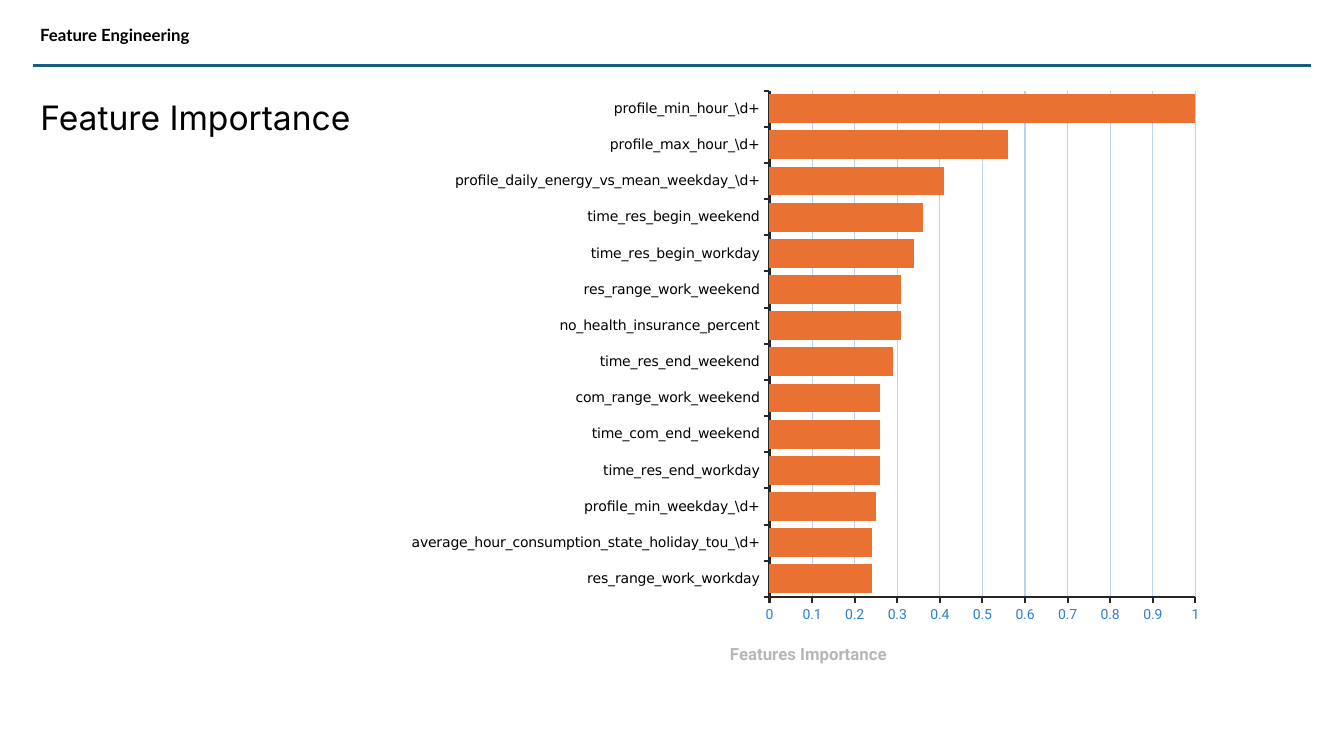
from lxml.etree import SubElement
from pptx import Presentation
from pptx.chart.data import CategoryChartData
from pptx.dml.color import RGBColor
from pptx.enum.chart import XL_CHART_TYPE as ChartType, XL_TICK_MARK as TickMark
from pptx.enum.shapes import MSO_CONNECTOR as Connector
from pptx.enum.text import MSO_ANCHOR as Anchor, PP_ALIGN as Align
from pptx.oxml.ns import qn
from pptx.util import Inches, Pt

BLACK = RGBColor(0x00, 0x00, 0x00)
TEAL = RGBColor(0x15, 0x60, 0x82)
ORANGE = RGBColor(0xE9, 0x71, 0x32)
BLUE = RGBColor(0x2D, 0x7F, 0xCF)
PALE_BLUE = RGBColor(0xB8, 0xD4, 0xF0)
GRAY = RGBColor(0xB7, 0xB7, 0xB7)
CHARCOAL = RGBColor(0x26, 0x26, 0x26)

IMPORTANCES = [
    ("res_range_work_workday", 0.24),
    ("average_hour_consumption_state_holiday_tou_\\d+", 0.24),
    ("profile_min_weekday_\\d+", 0.25),
    ("time_res_end_workday", 0.26),
    ("time_com_end_weekend", 0.26),
    ("com_range_work_weekend", 0.26),
    ("time_res_end_weekend", 0.29),
    ("no_health_insurance_percent", 0.31),
    ("res_range_work_weekend", 0.31),
    ("time_res_begin_workday", 0.34),
    ("time_res_begin_weekend", 0.36),
    ("profile_daily_energy_vs_mean_weekday_\\d+", 0.41),
    ("profile_max_hour_\\d+", 0.56),
    ("profile_min_hour_\\d+", 1),
]


def write(frame, text, *, font, size, color=BLACK, bold=False, align=Align.LEFT):
    para = frame.paragraphs[0]
    para.alignment = align
    span = para.add_run()
    span.text = text
    span.font.name = font
    span.font.size = Pt(size)
    span.font.bold = bold
    span.font.color.rgb = color


def set_layout(parent, index, **shares):
    layout = parent.find(qn("c:layout"))
    if layout is None:
        layout = SubElement(parent, qn("c:layout"))
        parent.insert(index, layout)
    manual = SubElement(layout, qn("c:manualLayout"))
    for name, value in shares.items():
        SubElement(manual, qn(f"c:{name}")).set("val", str(value))


deck = Presentation()
deck.slide_width = Inches(13.33)
deck.slide_height = Inches(7.5)
page = deck.slides.add_slide(deck.slide_layouts[5])

rule = page.shapes.add_connector(
    Connector.STRAIGHT, Inches(0.33), Inches(0.65), Inches(13), Inches(0.65))
rule.line.color.rgb = TEAL
rule.line.width = Pt(1.5)
SubElement(rule.element.spPr, qn("a:effectLst"))

section = page.shapes.add_textbox(Inches(0.3), Inches(0.2), Inches(5.62), Inches(0.57))
section.text_frame.word_wrap = True
write(section.text_frame, "Feature Engineering", font="Lato", size=12, bold=True)

heading = page.shapes.title
heading.left, heading.top = Inches(0.3), Inches(0.91)
heading.width, heading.height = Inches(3.61), Inches(0.5)
heading.text_frame.vertical_anchor = Anchor.TOP
write(heading.text_frame, "Feature Importance", font="Inter", size=24)

data = CategoryChartData()
data.categories = [feature for feature, value in IMPORTANCES]
data.add_series("Series 1", [value for feature, value in IMPORTANCES])
chart = page.shapes.add_chart(
    ChartType.BAR_CLUSTERED, Inches(3.92), Inches(0.78), Inches(8.14), Inches(5.98), data).chart
chart.has_legend = False
chart.has_title = False
chart.font.name = "Roboto"
chart.font.size = Pt(18)
chart.font.color.rgb = BLACK

bars = chart.plots[0]
bars.gap_width = 25
bars.vary_by_categories = False
bars.series[0].format.fill.solid()
bars.series[0].format.fill.fore_color.rgb = ORANGE

features, importance = chart.category_axis, chart.value_axis
for axis, font, color in ((features, "DejaVu Sans", BLACK), (importance, "Roboto", BLUE)):
    axis.major_tick_mark = TickMark.OUTSIDE
    axis.minor_tick_mark = TickMark.NONE
    axis.format.line.color.rgb = CHARCOAL
    axis.format.line.width = Pt(1.5)
    labels = axis.tick_labels
    labels.font.name = font
    labels.font.size = Pt(10)
    labels.font.color.rgb = color

features.has_major_gridlines = False
importance.minimum_scale = 0
importance.maximum_scale = 1
importance.major_unit = 0.1
importance.has_major_gridlines = True
importance.major_gridlines.format.line.color.rgb = PALE_BLUE
importance.major_gridlines.format.line.width = Pt(0.75)
importance.has_title = True
write(importance.axis_title.text_frame, "Features Importance",
      font="Roboto", size=12, color=GRAY, bold=True, align=Align.CENTER)

plot_area = chart.element.find(f".//{qn('c:plotArea')}")
set_layout(plot_area, 0, layoutTarget="inner", xMode="edge", yMode="edge",
           x=0.456, y=0.02, w=0.519, h=0.84)
set_layout(importance.axis_title.element, 1, xMode="edge", yMode="edge", x=0.404, y=0.93)

deck.save("out.pptx")
